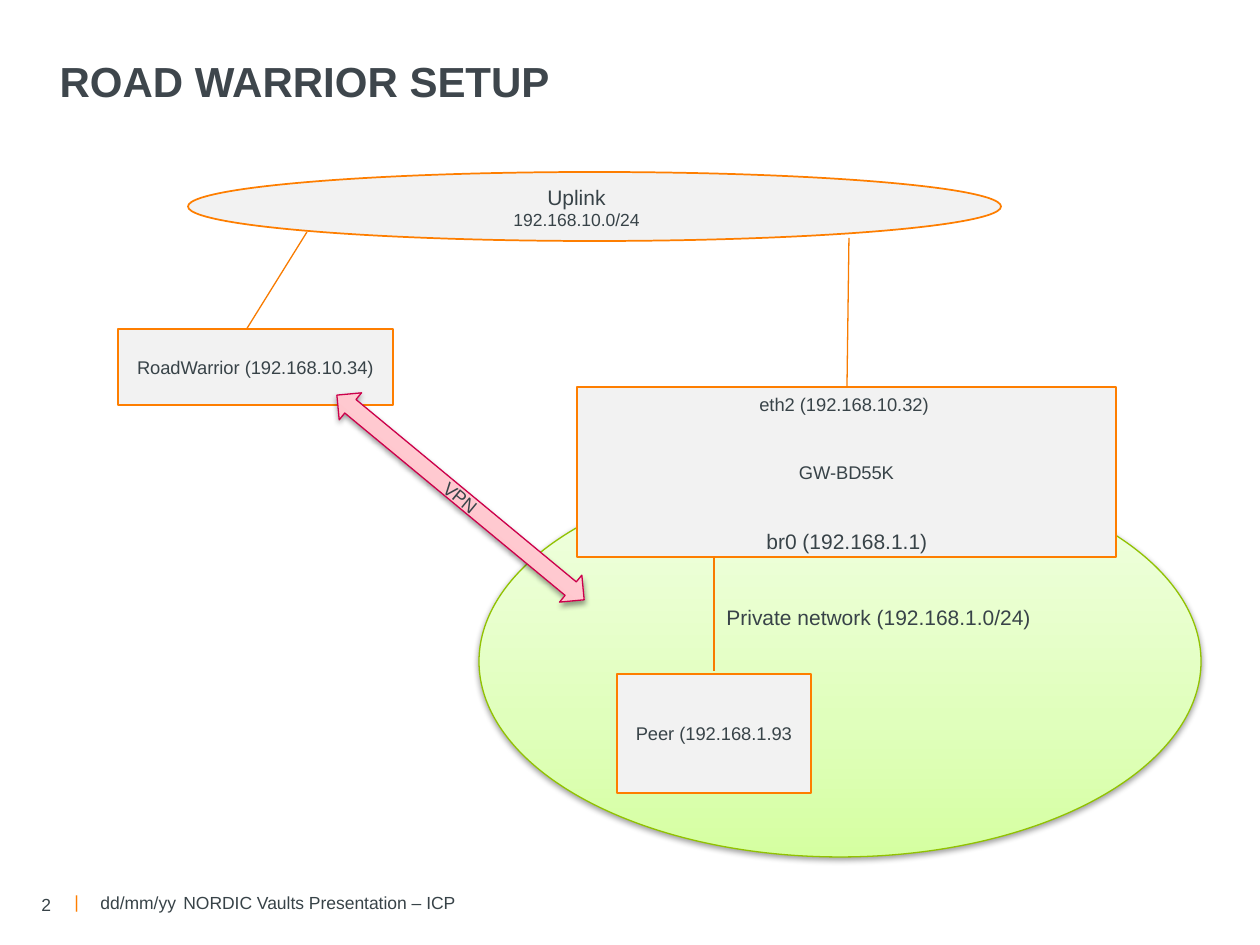
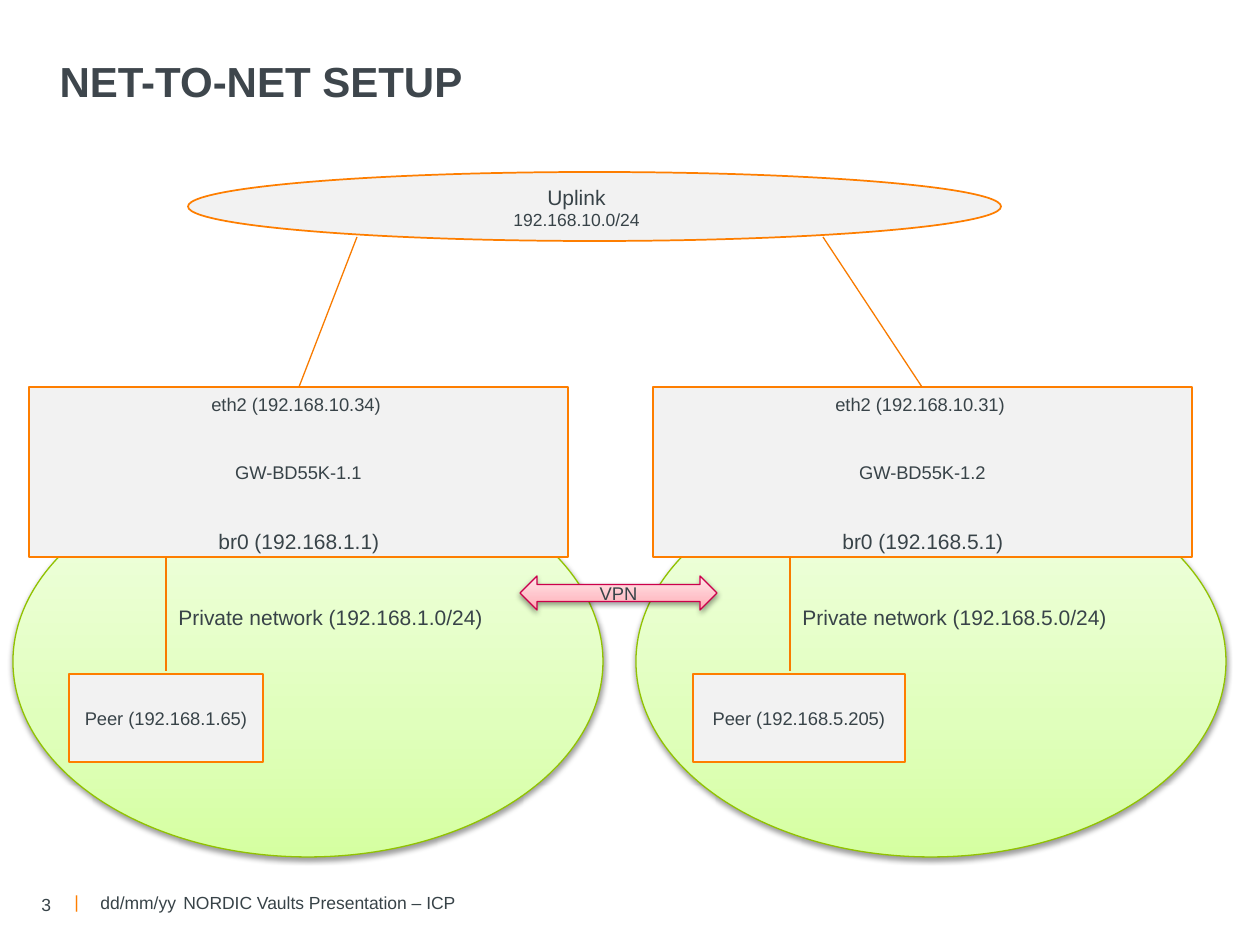
from copy import deepcopy
from dataclasses import dataclass

from lxml import etree
from pptx import Presentation
from pptx import util as u
from pptx.dml.color import RGBColor
from pptx.enum import shapes, text
from pptx.oxml import ns

PX = 914400 / 126


@dataclass(frozen=True)
class Theme:
    font: str = "Arial"
    title: str = "3E464C"
    ink: str = "384348"
    accent: str = "FE7E00"
    link: str = "F87B00"
    node: str = "F2F2F2"
    cloud_line: str = "91C201"
    cloud_fill: tuple = ((0, "D5FFA1"), (0.35, "E0FFBC"), (1, "F3FFE6"))
    vpn_line: str = "CC004B"
    vpn_fill: tuple = ((0, "FFA7B1"), (0.35, "FFC1C8"), (1, "FFE7EA"))
    title_size: float = 24
    label_size: float = 12
    node_size: float = 10.5
    small_size: float = 10


THEME = Theme()
SHAPE = shapes.MSO_SHAPE
ALIGN = text.PP_ALIGN
ANCHOR = text.MSO_ANCHOR


def px(*lengths):
    return [u.Emu(round(length * PX)) for length in lengths]


def colour(code):
    return RGBColor.from_string(code)


# Text
def write(para, words, size=THEME.node_size, ink=THEME.ink, bold=False, align=ALIGN.LEFT):
    para.alignment = align
    span = para.add_run()
    span.text = words
    span.font.name = THEME.font
    span.font.size = u.Pt(size)
    span.font.bold = bold
    span.font.color.rgb = colour(ink)


def add_label(page, place, words, anchor=ANCHOR.TOP, **style):
    box = page.shapes.add_textbox(*px(*place))
    box.text_frame.word_wrap = False
    box.text_frame.vertical_anchor = anchor
    write(box.text_frame.paragraphs[0], words, **style)
    return box


# Shapes and lines
def add_outlined(page, kind, place, line, width, words=""):
    shape = page.shapes.add_shape(kind, *px(*place))
    shape.shadow.inherit = False
    shape.line.color.rgb = colour(line)
    shape.line.width = u.Pt(width)
    if words:
        shape.text_frame.vertical_anchor = ANCHOR.MIDDLE
        write(shape.text_frame.paragraphs[0], words, align=ALIGN.CENTER)
    return shape


def add_node(page, place, words="", kind=SHAPE.RECTANGLE):
    node = add_outlined(page, kind, place, THEME.accent, 1, words)
    node.fill.solid()
    node.fill.fore_color.rgb = colour(THEME.node)


def add_glossy(page, kind, place, line, stops, words=""):
    """Add a shape with an upward gradient and a soft shadow below it."""
    shape = add_outlined(page, kind, place, line, 0.75, words)
    shape.fill.gradient()
    shape.fill.gradient_angle = 90
    stop_list = shape._element.spPr.find(".//" + ns.qn("a:gsLst"))
    stop_list.append(deepcopy(stop_list[0]))
    for stop, (position, code) in zip(shape.fill.gradient_stops, stops):
        stop.position = position
        stop.color.rgb = colour(code)

    effects = shape._element.spPr.find(ns.qn("a:effectLst"))
    shadow = etree.SubElement(effects, ns.qn("a:outerShdw"), blurRad="40000",
                              dist="20000", dir="5400000", rotWithShape="0")
    black = etree.SubElement(shadow, ns.qn("a:srgbClr"), val="000000")
    etree.SubElement(black, ns.qn("a:alpha"), val="38000")
    return shape


def add_vpn(page, place, rotation=0):
    arrow = add_glossy(page, SHAPE.LEFT_RIGHT_ARROW, place,
                       THEME.vpn_line, THEME.vpn_fill, "VPN")
    arrow.rotation = rotation


def add_link(page, *ends):
    link = page.shapes.add_connector(shapes.MSO_CONNECTOR.STRAIGHT, *px(*ends))
    link.line.color.rgb = colour(THEME.link)
    link.line.width = u.Pt(0.75)
    etree.SubElement(link._element.spPr, ns.qn("a:effectLst"))


# Network parts
def add_uplink(page):
    add_node(page, (188, 172, 813, 69), kind=SHAPE.OVAL)
    box = add_label(page, (501, 178, 151, 59), "Uplink",
                    size=THEME.label_size, align=ALIGN.CENTER)
    write(box.text_frame.add_paragraph(), "192.168.10.0/24",
          size=THEME.small_size, align=ALIGN.CENTER)


def add_site(page, left, cloud, router, outer, subnet, peer, peer_size):
    """Add a router at left, with its private network and one peer below it."""
    cloud_left, cloud_width = cloud
    add_glossy(page, SHAPE.OVAL, (cloud_left, 466, cloud_width, 391),
               THEME.cloud_line, THEME.cloud_fill)
    add_node(page, (left, 387, 539, 170), router)
    add_label(page, (left + 170, 387, 200, 36), f"eth2 ({outer})")
    add_label(page, (left + 177, 522, 188, 38), f"br0 ({subnet}.1)",
              size=THEME.label_size)
    drop = left + 137
    add_link(page, drop, 557, drop, 671)
    add_label(page, (drop, 598, 333, 38), f"Private network ({subnet}.0/24)",
              size=THEME.label_size)
    add_node(page, (left + 40, 674, *peer_size), peer)


# Page frame
def add_page(deck, title, number):
    page = deck.slides.add_slide(deck.slide_layouts[5])
    heading = page.shapes.title
    heading.left, heading.top, heading.width, heading.height = px(47, 45, 1154, 113)
    heading.text_frame.vertical_anchor = ANCHOR.TOP
    heading.text_frame.margin_top = px(10)[0]
    write(heading.text_frame.paragraphs[0], title, size=THEME.title_size,
          ink=THEME.title, bold=True)

    small = THEME.small_size
    add_label(page, (171, 886, 580, 34), "NORDIC Vaults Presentation – ICP", size=small)
    add_label(page, (88, 886, 105, 34), "dd/mm/yy", size=small)
    add_label(page, (29, 890, 63, 29), str(number), anchor=ANCHOR.MIDDLE, size=small)
    add_label(page, (62, 885, 35, 34), "|", size=small, ink=THEME.accent)
    return page


def build_road_warrior(deck):
    page = add_page(deck, "ROAD WARRIOR SETUP", 2)
    add_site(page, 577, (479, 722), "GW-BD55K", "192.168.10.32", "192.168.1",
             "Peer (192.168.1.93", (194, 119))
    add_uplink(page)
    add_link(page, 847, 387, 849, 238)
    add_link(page, 307, 232, 246, 330)
    add_node(page, (118, 329, 275, 76), "RoadWarrior (192.168.10.34)")
    add_vpn(page, (300, 480, 321, 35), rotation=39.6)


def build_net_to_net(deck):
    page = add_page(deck, "NET-TO-NET SETUP", 3)
    add_site(page, 653, (636, 590), "GW-BD55K-1.2", "192.168.10.31", "192.168.5",
             "Peer (192.168.5.205)", (212, 88))
    add_site(page, 29, (13, 590), "GW-BD55K-1.1", "192.168.10.34", "192.168.1",
             "Peer (192.168.1.65)", (194, 88))
    add_uplink(page)
    add_link(page, 922, 387, 823, 237)
    add_link(page, 357, 237, 299, 387)
    add_vpn(page, (520, 576, 197, 34))


def main():
    deck = Presentation()
    deck.slide_width, deck.slide_height = px(1260, 945)
    build_road_warrior(deck)
    build_net_to_net(deck)
    deck.save("out.pptx")


if __name__ == "__main__":
    main()
